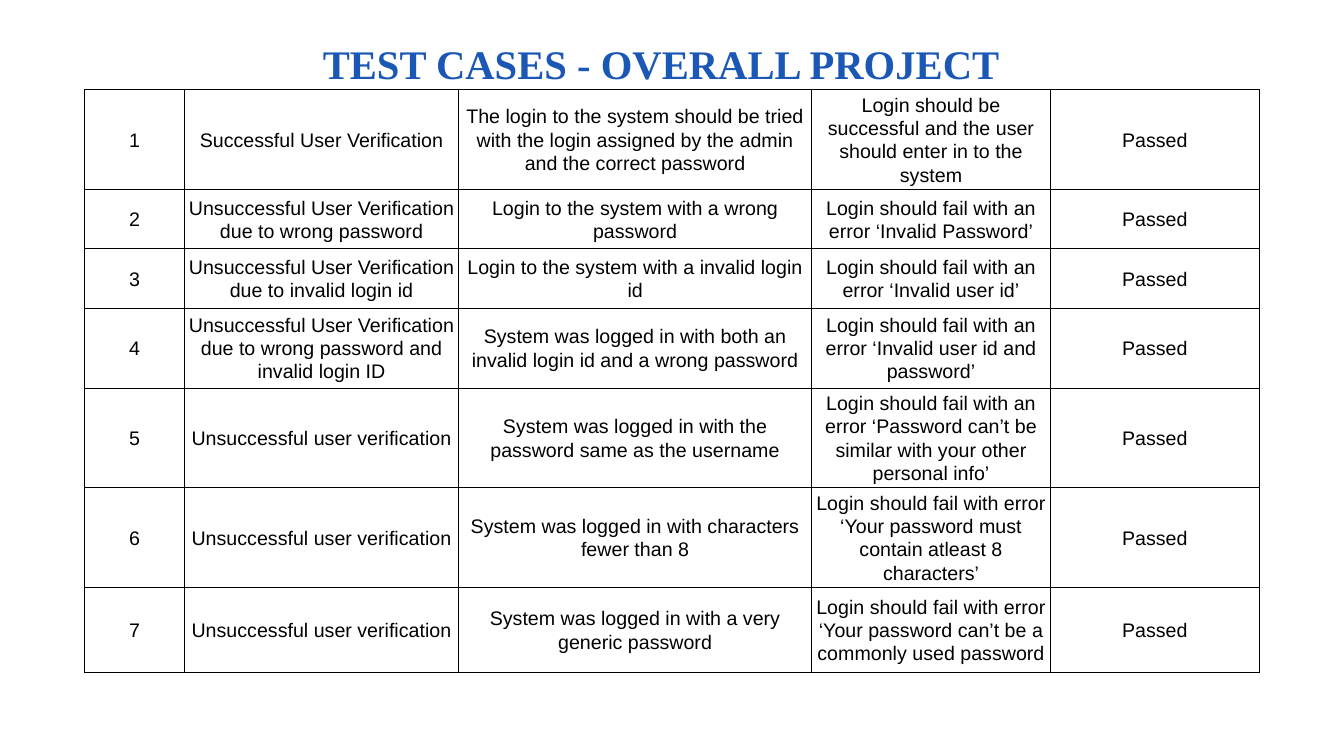
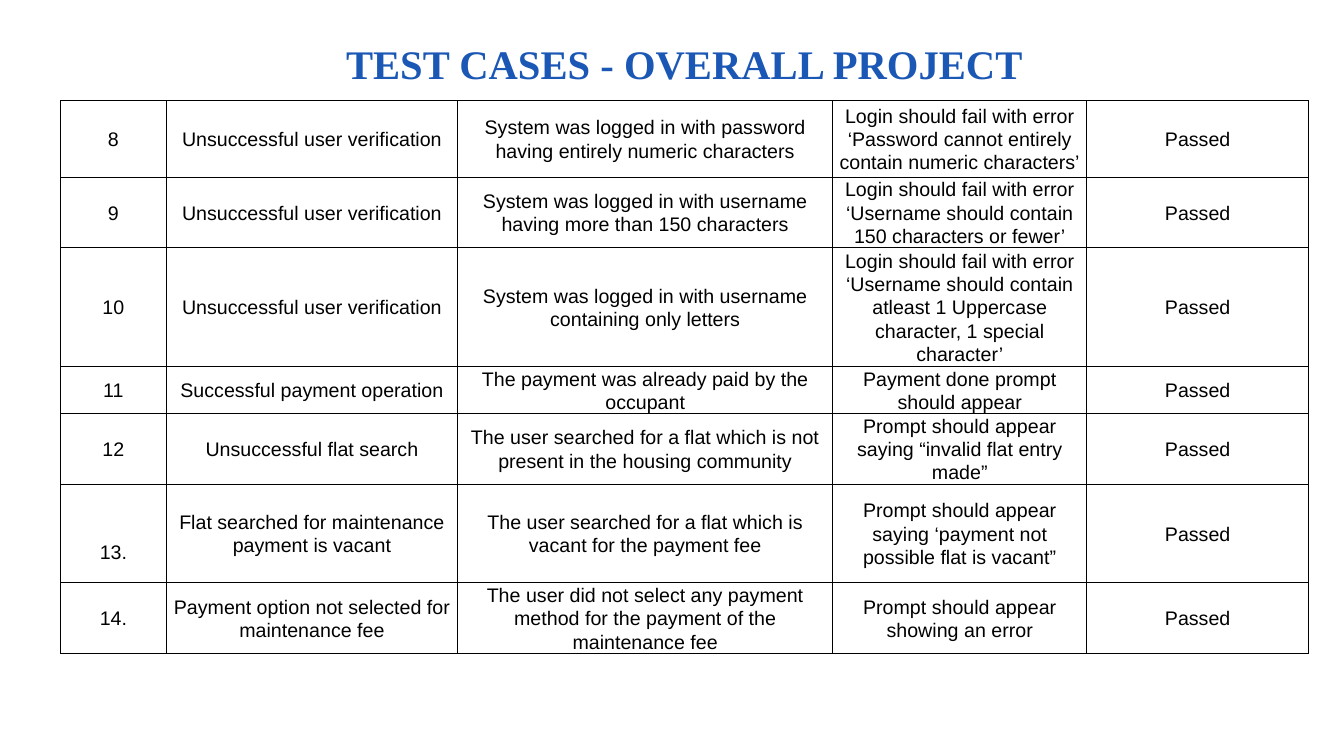
from lxml.etree import SubElement
from pptx import Presentation
from pptx.dml.color import RGBColor
from pptx.enum.text import MSO_ANCHOR, PP_ALIGN
from pptx.oxml.ns import qn
from pptx.util import Inches, Pt

COLORS = {"title": "1B57B5", "text": "000000", "border": "000000"}
TITLE = "TEST CASES - OVERALL PROJECT"
RESULT = "Passed"
FAILED = "Unsuccessful user verification"

# Each case: number, name, action, expected outcome
SLIDES = [
    {
        "title_left": 0.56,
        "table_at": (0.84, 0.89),
        "cols": [0.99, 2.72, 3.5, 2.37, 2.07],
        "rows": [0.99, 0.59, 0.59, 0.79, 0.99, 0.99, 0.84],
        "cases": [
            ("1", "Successful User Verification",
             "The login to the system should be tried with the login assigned by the admin "
             "and the correct password",
             "Login should be successful and the user should enter in to the system"),
            ("2", "Unsuccessful User Verification due to wrong password",
             "Login to the system with a wrong password",
             "Login should fail with an error ‘Invalid Password’"),
            ("3", "Unsuccessful User Verification due to invalid login id",
             "Login to the system with a invalid login id",
             "Login should fail with an error ‘Invalid user id’"),
            ("4", "Unsuccessful User Verification due to wrong password and invalid login ID",
             "System was logged in with both an invalid login id and a wrong password",
             "Login should fail with an error ‘Invalid user id and password’"),
            ("5", FAILED,
             "System was logged in with the password same as the username",
             "Login should fail with an error ‘Password can’t be similar with your other "
             "personal info’"),
            ("6", FAILED,
             "System was logged in with characters fewer than 8",
             "Login should fail with error ‘Your password must contain atleast 8 characters’"),
            ("7", FAILED,
             "System was logged in with a very generic password",
             "Login should fail with error ‘Your password can’t be a commonly used password"),
        ],
    },
    {
        "title_left": 0.79,
        "table_at": (0.6, 1),
        "cols": [1.05, 2.89, 3.72, 2.52, 2.2],
        "rows": [0.76, 0.7, 1.18, 0.46, 0.7, 0.98, 0.7],
        "cases": [
            ("8", FAILED,
             "System was logged in with password having entirely numeric characters",
             "Login should fail with error ‘Password cannot entirely contain numeric "
             "characters’"),
            ("9", FAILED,
             "System was logged in with username having more than 150 characters",
             "Login should fail with error ‘Username should contain 150 characters or fewer’"),
            ("10", FAILED,
             "System was logged in with username containing only letters",
             "Login should fail with error ‘Username should contain atleast 1 Uppercase "
             "character, 1 special character’"),
            ("11", "Successful payment operation",
             "The payment was already paid by the occupant",
             "Payment done prompt should appear"),
            ("12", "Unsuccessful flat search",
             "The user searched for a flat which is not present in the housing community",
             "Prompt should appear saying “invalid flat entry made”"),
            ("13.", "Flat searched for maintenance payment is vacant",
             "The user searched for a flat which is vacant for the payment fee",
             "Prompt should appear saying ‘payment not possible flat is vacant”"),
            ("14.", "Payment option not selected for maintenance fee",
             "The user did not select any payment method for the payment of the "
             "maintenance fee",
             "Prompt should appear showing an error"),
        ],
    },
]
LOWERED_NUMBER = "13."  # sits below the middle of its row


def set_font(p, name, size, color, bold=False):
    p.alignment = PP_ALIGN.CENTER
    p.font.name, p.font.size, p.font.bold = name, Pt(size), bold
    p.font.color.rgb = RGBColor.from_string(COLORS[color])


def add_title(slide, left):
    title = slide.shapes.title
    title.left, title.top = Inches(left), Inches(0.25)
    title.width, title.height = Inches(12), Inches(0.75)
    tf = title.text_frame
    tf.text = TITLE
    tf.vertical_anchor = MSO_ANCHOR.MIDDLE
    set_font(tf.paragraphs[0], "Times New Roman", 29, "title", bold=True)


def add_borders(cell):
    tcPr = cell._tc.get_or_add_tcPr()
    for side in ("a:lnL", "a:lnR", "a:lnT", "a:lnB"):
        ln = SubElement(tcPr, qn(side), w=str(Pt(0.75)))
        fill = SubElement(ln, qn("a:solidFill"))
        SubElement(fill, qn("a:srgbClr"), val=COLORS["border"])


def fill_cell(cell, text):
    cell.text = text
    cell.vertical_anchor = MSO_ANCHOR.MIDDLE
    cell.margin_left = cell.margin_right = Inches(0.04)
    cell.margin_top = Inches(0.36 if text == LOWERED_NUMBER else 0)
    cell.margin_bottom = 0
    add_borders(cell)
    cell.fill.background()
    p = cell.text_frame.paragraphs[0]
    p.line_spacing = 1.06
    set_font(p, "Arial", 14, "text")


def add_cases(slide, data):
    cols, rows = data["cols"], data["rows"]
    left, top = data["table_at"]
    table = slide.shapes.add_table(
        len(rows), len(cols), Inches(left), Inches(top),
        Inches(sum(cols)), Inches(sum(rows))).table
    table.first_row = table.horz_banding = False
    for column, width in zip(table.columns, cols):
        column.width = Inches(width)
    for row, height, case in zip(table.rows, rows, data["cases"]):
        row.height = Inches(height)
        for cell, text in zip(row.cells, (*case, RESULT)):
            fill_cell(cell, text)


def main():
    prs = Presentation()
    prs.slide_width, prs.slide_height = Inches(13.33), Inches(7.5)
    for data in SLIDES:
        slide = prs.slides.add_slide(prs.slide_layouts[5])
        add_title(slide, data["title_left"])
        add_cases(slide, data)
    prs.save("out.pptx")


if __name__ == "__main__":
    main()
